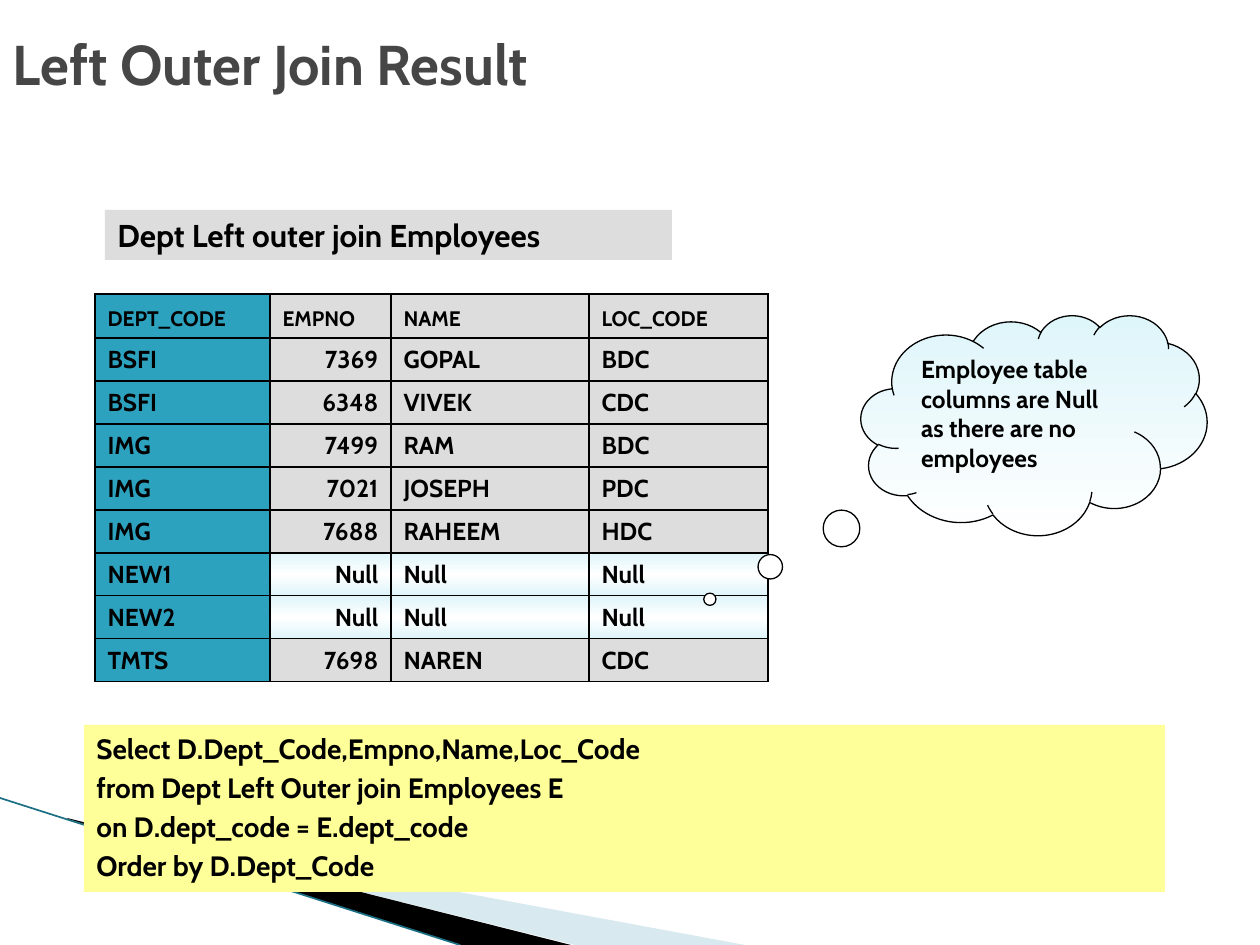
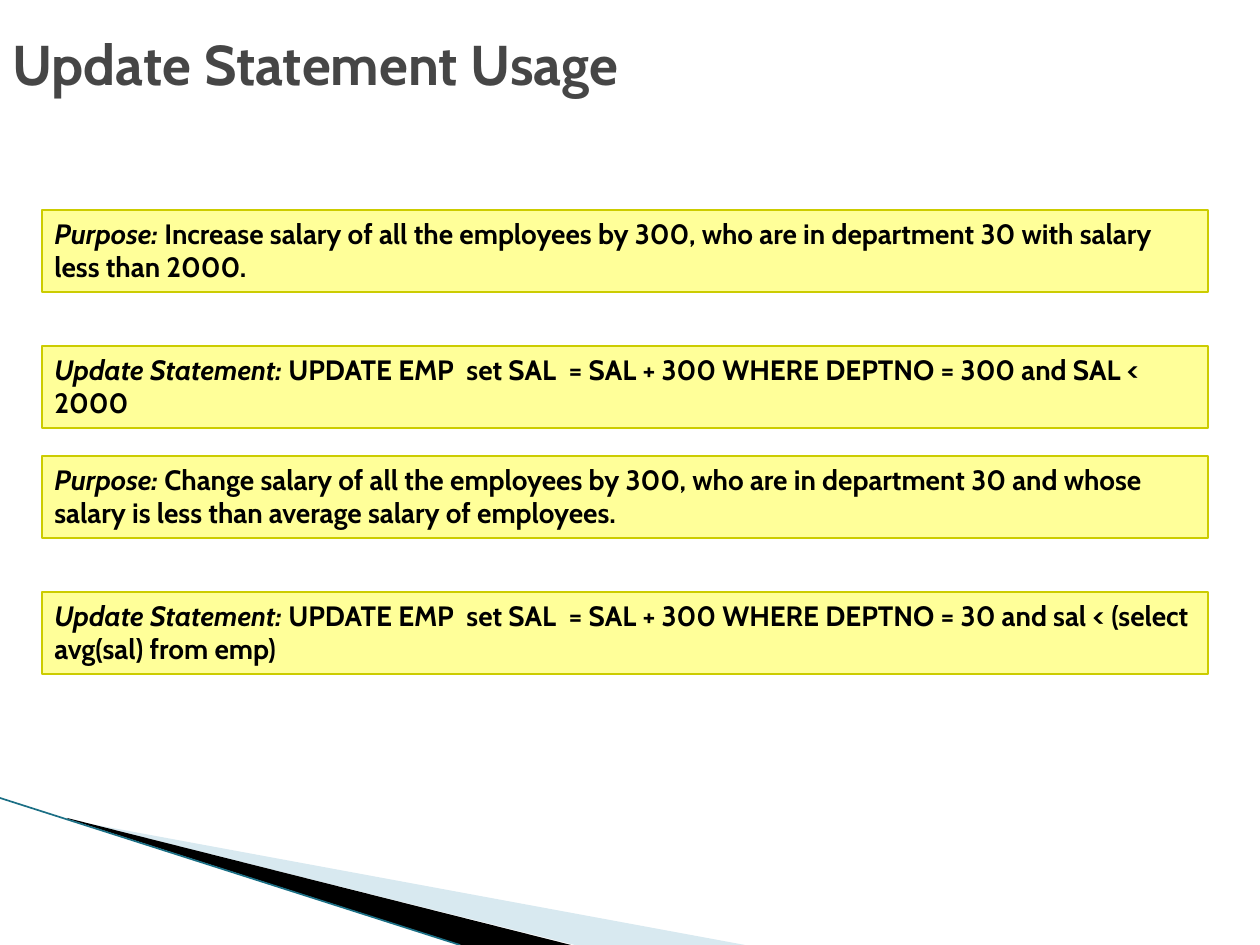
import pptx
import pptx.dml.color
import pptx.enum.dml
import pptx.enum.shapes
import pptx.enum.text
import pptx.oxml
import pptx.oxml.ns
import pptx.util

SCALE = 914400 / 126
WIDTH, HEIGHT = 1260, 945
FONT = "Cabin"
COLORS = {
    "title": "464646", "text": "000000", "border": "000000",
    "grey": "DDDDDD", "teal": "2DA2BF", "ice": "DEF5FA", "white": "FFFFFF",
    "yellow": "FFFF99", "olive": "CCCC00",
    "wedge": "D8E9F0", "blade": "000000", "edge": "1B6F85",
}
ALIGN = pptx.enum.text.PP_ALIGN
ANCHOR = pptx.enum.text.MSO_ANCHOR
SHAPE = pptx.enum.shapes.MSO_SHAPE

JOIN_ROWS = [
    ("DEPT_CODE", "EMPNO", "NAME", "LOC_CODE"),
    ("BSFI", "7369", "GOPAL", "BDC"),
    ("BSFI", "6348", "VIVEK", "CDC"),
    ("IMG", "7499", "RAM", "BDC"),
    ("IMG", "7021", "JOSEPH", "PDC"),
    ("IMG", "7688", "RAHEEM", "HDC"),
    ("NEW1", "Null", "Null", "Null"),
    ("NEW2", "Null", "Null", "Null"),
    ("TMTS", "7698", "NAREN", "CDC"),
]
JOIN_QUERY = [
    "Select D.Dept_Code,Empno,Name,Loc_Code",
    "from Dept Left Outer join Employees E",
    "on D.dept_code = E.dept_code",
    "Order by D.Dept_Code",
]
UPDATES = [
    ("Increase salary of all the employees by 300, who are in department 30 "
     "with salary less than 2000.",
     "UPDATE EMP  set SAL  = SAL + 300 WHERE DEPTNO = 300 and SAL < 2000"),
    ("Change salary of all the employees by 300, who are in department 30 "
     "and whose salary is less than average salary of employees.",
     "UPDATE EMP  set SAL  = SAL + 300 WHERE DEPTNO = 30 and sal < "
     "(select avg(sal) from emp)"),
]


def px(n):
    """Turn whole pixels into EMU."""
    return pptx.util.Emu(round(n * SCALE))


def rgb(name):
    """Look up a palette colour."""
    return pptx.dml.color.RGBColor.from_string(COLORS[name])


def style_run(r, size, color="text", italic=False):
    """Format a run in the shared bold face."""
    r.font.name = FONT
    r.font.size = pptx.util.Pt(size)
    r.font.bold = True
    r.font.italic = italic
    r.font.color.rgb = rgb(color)


def fill_solid(fill, color):
    """Fill with one palette colour."""
    fill.solid()
    fill.fore_color.rgb = rgb(color)


def fill_gradient(fill, element, colors):
    """Fill from top to bottom with evenly spaced palette colours."""
    fill.gradient()
    fill.gradient_angle = 270
    stops = next(element.iter(pptx.oxml.ns.qn("a:gsLst")))
    for stop in list(stops):
        stops.remove(stop)
    for i, color in enumerate(colors):
        pos = 100000 * i // (len(colors) - 1)
        stops.append(pptx.oxml.parse_xml(
            f'<a:gs {pptx.oxml.ns.nsdecls("a")} pos="{pos}">'
            f'<a:srgbClr val="{COLORS[color]}"/></a:gs>'))


def set_line(line, color, width):
    """Outline with a palette colour, or with nothing."""
    if color is None:
        line.fill.background()
        return
    line.color.rgb = rgb(color)
    line.width = pptx.util.Pt(width)


def add_box(slide, box, lines, size, fill=None, line=None, kind=SHAPE.RECTANGLE):
    """Add a shape whose lines are lists of (text, italic) pieces."""
    sp = slide.shapes.add_shape(kind, *map(px, box))
    sp.shadow.inherit = False
    if fill:
        fill_solid(sp.fill, fill)
    set_line(sp.line, line, 0.75)
    tf = sp.text_frame
    tf.word_wrap = True
    tf.vertical_anchor = ANCHOR.TOP
    for i, pieces in enumerate(lines):
        p = tf.add_paragraph() if i else tf.paragraphs[0]
        p.alignment = ALIGN.LEFT
        if i:
            p.space_before = pptx.util.Pt(size * 0.2)
        for text, italic in pieces:
            r = p.add_run()
            r.text = text
            style_run(r, size, italic=italic)
    return sp


def add_swoosh(slide, box):
    """Draw the corner wedges and their edge line inside the box."""
    x, y, w, h = box
    wedges = [
        ("wedge", [(69, 22), (w, h), (575, h), (69, 21)]),
        ("blade", [(67, 20), (571, h), (461, h), (68, 21)]),
    ]
    for color, points in wedges:
        points = [(x + dx, y + dy) for dx, dy in points]
        builder = slide.shapes.build_freeform(*points[0], scale=SCALE)
        builder.add_line_segments(points[1:], close=True)
        sp = builder.convert_to_shape()
        sp.shadow.inherit = False
        fill_solid(sp.fill, color)
        set_line(sp.line, None, 0)
    edge = slide.shapes.add_connector(
        pptx.enum.shapes.MSO_CONNECTOR.STRAIGHT,
        px(x), px(y), px(x + 460), px(y + h))
    set_line(edge.line, "edge", 0.95)
    edge._element.spPr.append(pptx.oxml.parse_xml(
        f'<a:effectLst {pptx.oxml.ns.nsdecls("a")}/>'))


def add_slide(prs, title):
    """Start a slide with the shared title and swoosh."""
    slide = prs.slides.add_slide(prs.slide_layouts[5])
    add_swoosh(slide, (0, 798, 745, HEIGHT - 798))
    sp = slide.shapes.title
    sp.left, sp.top, sp.width, sp.height = map(px, (0, 0, 1042, 126))
    tf = sp.text_frame
    tf.text = title
    tf.vertical_anchor = ANCHOR.MIDDLE
    p = tf.paragraphs[0]
    p.alignment = ALIGN.LEFT
    style_run(p.runs[0], 32, "title")
    return slide


def add_borders(cell):
    """Rule all four sides of a cell."""
    tc_pr = cell._tc.get_or_add_tcPr()
    for side in ("lnL", "lnR", "lnT", "lnB"):
        tc_pr.append(pptx.oxml.parse_xml(
            f'<a:{side} {pptx.oxml.ns.nsdecls("a")} w="12700"><a:solidFill>'
            f'<a:srgbClr val="{COLORS["border"]}"/></a:solidFill></a:{side}>'))


def add_join_table(slide, box, rows):
    """Add the join result, with unmatched columns shaded by a gradient."""
    widths = (175, 121, 198, 179)
    table = slide.shapes.add_table(len(rows), len(widths), *map(px, box)).table
    table.first_row = table.horz_banding = False
    for column, width in zip(table.columns, widths):
        column.width = px(width)
    for i, row in enumerate(rows):
        table.rows[i].height = px(43 if i else 44)
        for j, text in enumerate(row):
            cell = table.cell(i, j)
            add_borders(cell)
            if text == "Null":
                fill_gradient(cell.fill, cell._tc, ("ice", "white", "ice"))
            else:
                fill_solid(cell.fill, "grey" if j else "teal")
            cell.vertical_anchor = ANCHOR.BOTTOM
            cell.text_frame.text = text
            p = cell.text_frame.paragraphs[0]
            p.alignment = ALIGN.RIGHT if i and j == 1 else ALIGN.JUSTIFY
            style_run(p.runs[0], 14 if i else 12)


def add_thought(slide, box, text):
    """Add the thought cloud pointing at the unmatched rows."""
    sp = add_box(slide, box, [[(text, False)]], 14, line="border",
                 kind=SHAPE.CLOUD_CALLOUT)
    sp.adjustments[0], sp.adjustments[1] = -0.937, 0.792
    fill_gradient(sp.fill, sp._element.spPr, ("ice", "white"))


def add_update(slide, box, purpose, statement):
    """Stack a purpose box above its statement box."""
    x, y, w, h = box
    box_h = 82
    parts = [("Purpose: ", purpose), ("Update Statement: ", statement)]
    for i, (label, text) in enumerate(parts):
        add_box(slide, (x, y + i * (h - box_h), w, box_h),
                [[(label, True), (text, False)]], 16, "yellow", "olive")


def build_join_slide(prs):
    """Build the left outer join slide."""
    slide = add_slide(prs, "Left Outer Join Result")
    add_join_table(slide, (95, 294, 673, 388), JOIN_ROWS)
    add_box(slide, (105, 210, 567, 50),
            [[("Dept Left outer join Employees", False)]], 18, "grey")
    add_thought(slide, (861, 315, 346, 220),
                "Employee table columns are Null as there are no employees")
    add_box(slide, (84, 725, 1081, 167),
            [[(line, False)] for line in JOIN_QUERY], 16, "yellow")


def build_update_slide(prs):
    """Build the update statement slide."""
    slide = add_slide(prs, "Update Statement Usage")
    for i, update in enumerate(UPDATES):
        add_update(slide, (42, 210 + 246 * i, 1166, 218), *update)


def main():
    """Build and save the presentation."""
    prs = pptx.Presentation()
    prs.slide_width, prs.slide_height = px(WIDTH), px(HEIGHT)
    build_join_slide(prs)
    build_update_slide(prs)
    prs.save("out.pptx")


if __name__ == "__main__":
    main()
